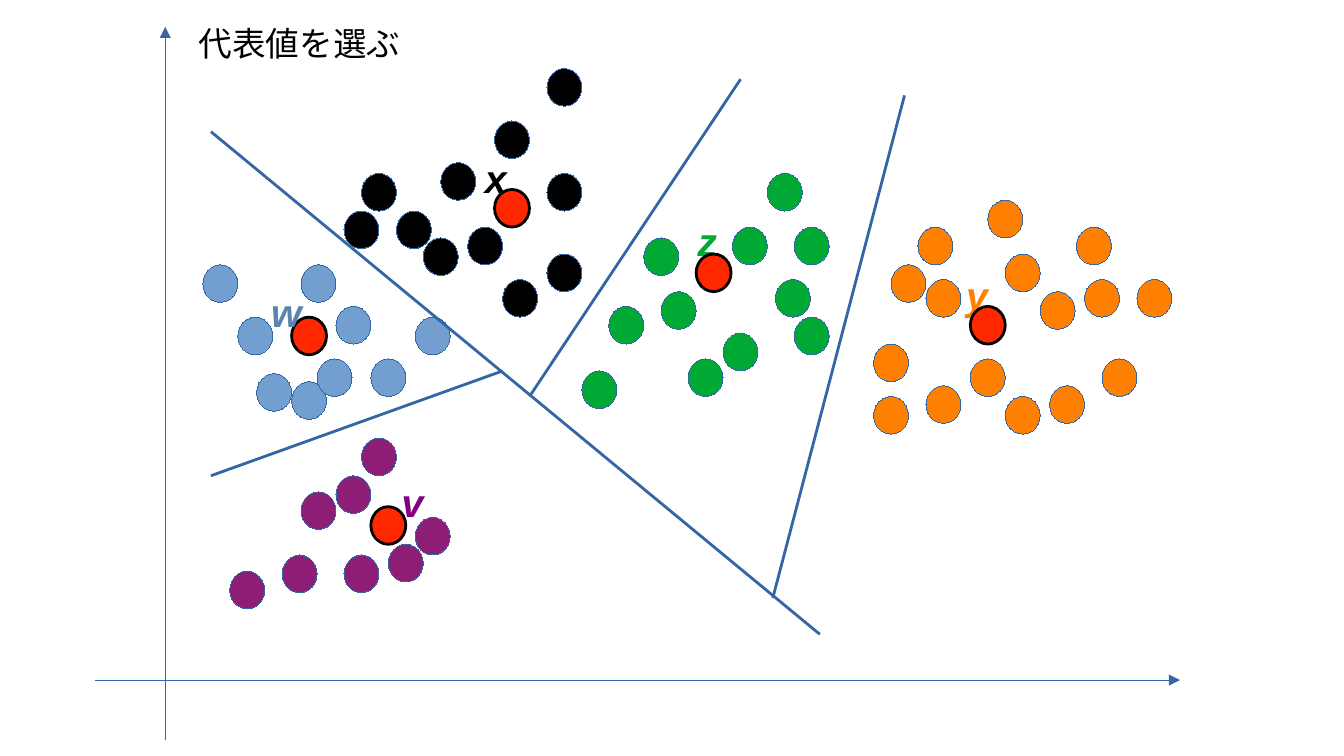
from dataclasses import dataclass

from lxml.etree import SubElement
from pptx import Presentation
from pptx.dml.color import RGBColor
from pptx.enum.shapes import MSO_CONNECTOR, MSO_SHAPE
from pptx.enum.text import MSO_AUTO_SIZE
from pptx.oxml.ns import qn
from pptx.util import Emu, Pt

PX = 9144
SLIDE_WIDTH = 1000
POINT_SIZE = (26, 28)


@dataclass(frozen=True)
class Theme:
    """Colours, type sizes and line widths of the slide."""

    font: str = "Arial"
    title_size: int = 18
    label_size: int = 21
    ink: str = "000000"
    line: str = "3465A4"
    centroid: str = "FF2800"
    hairline: float = 0.01
    stroke: float = 1.5


@dataclass(frozen=True)
class Cluster:
    """One group of points with its representative value."""

    label: str
    label_box: tuple
    label_color: str
    label_in_front: bool
    point_color: str
    centroid: tuple
    points: tuple


THEME = Theme()

AXES = (((123, 551), (123, 20)), ((71, 506), (878, 506)))

BOUNDARIES = (
    ((157, 98), (610, 472)),
    ((157, 354), (374, 276)),
    ((394, 295), (551, 59)),
    ((673, 71), (575, 445)),
)

CLUSTERS = (
    Cluster("x", (351, 110, 44, 42), "000000", False, "000000", (368, 141), (
        (407, 129), (407, 51), (269, 129), (374, 208), (368, 90), (315, 177),
        (256, 157), (328, 121), (407, 189), (295, 157), (348, 169),
    )),
    Cluster("z", (509, 157, 43, 54), "00A933", False, "00A933", (518, 189), (
        (545, 169), (577, 208), (571, 129), (492, 217), (479, 177), (591, 236),
        (591, 169), (453, 228), (538, 248), (433, 276), (512, 267),
    )),
    Cluster("y", (709, 197, 44, 48), "FF8000", False, "FF8000", (722, 228), (
        (801, 169), (807, 208), (748, 189), (689, 208), (650, 256), (683, 169),
        (774, 217), (735, 149), (663, 197), (722, 267), (846, 208), (820, 267),
        (748, 295), (689, 287), (781, 287), (650, 295),
    )),
    Cluster("v", (289, 351, 44, 54), "800080", True, "8D1D75", (276, 377), (
        (250, 354), (269, 326), (224, 366), (289, 405), (256, 413), (171, 425),
        (210, 413), (309, 385),
    )),
    Cluster("w", (192, 210, 44, 54), "5983B0", True, "729FCF", (217, 236), (
        (177, 236), (191, 278), (217, 284), (224, 197), (151, 197), (236, 267),
        (276, 267), (309, 236), (250, 228),
    )),
)


def px(*lengths):
    """Turn px lengths into EMU."""
    return [Emu(length * PX) for length in lengths]


def set_line(line, color, width):
    """Give a line its colour and width."""
    line.color.rgb = RGBColor.from_string(color)
    line.width = Pt(width)


def add_line(slide, start, end, width, arrow=False):
    """Draw a straight line, with an arrowhead at its end if asked."""
    connector = slide.shapes.add_connector(MSO_CONNECTOR.STRAIGHT, *px(*start, *end))
    set_line(connector.line, THEME.line, width)
    properties = connector._element.spPr
    if arrow:
        SubElement(properties.find(qn("a:ln")), qn("a:tailEnd"), type="triangle")
    SubElement(properties, qn("a:effectLst"))


def add_point(slide, position, fill, outline, width):
    """Draw one data point as an ellipse."""
    point = slide.shapes.add_shape(MSO_SHAPE.OVAL, *px(*position, *POINT_SIZE))
    point.shadow.inherit = False
    point.fill.solid()
    point.fill.fore_color.rgb = RGBColor.from_string(fill)
    set_line(point.line, outline, width)


def add_text(slide, box, wording, size, color, emphasis=False):
    """Add a one-line text, bold and italic if emphasised."""
    frame = slide.shapes.add_textbox(*px(*box)).text_frame
    frame.word_wrap = False
    frame.auto_size = MSO_AUTO_SIZE.SHAPE_TO_FIT_TEXT
    run = frame.paragraphs[0].add_run()
    run.text = wording
    run.font.name = THEME.font
    run.font.size = Pt(size)
    run.font.bold = run.font.italic = emphasis
    run.font.color.rgb = RGBColor.from_string(color)


def add_labels(slide, in_front):
    """Add the cluster labels that lie in front of or behind the points."""
    for cluster in CLUSTERS:
        if cluster.label_in_front == in_front:
            add_text(slide, cluster.label_box, cluster.label,
                     THEME.label_size, cluster.label_color, emphasis=True)


def add_cluster(slide, cluster):
    """Draw the points of a cluster and its representative value."""
    for position in cluster.points:
        add_point(slide, position, cluster.point_color, THEME.line, THEME.hairline)
    add_point(slide, cluster.centroid, THEME.centroid, THEME.ink, THEME.stroke)


def main():
    """Build the clustering slide and save it."""
    presentation = Presentation()
    presentation.slide_width = Emu(SLIDE_WIDTH * PX)
    presentation.slide_height = Emu(SLIDE_WIDTH * PX * 9 // 16)
    slide = presentation.slides.add_slide(presentation.slide_layouts[6])
    for start, end in AXES:
        add_line(slide, start, end, THEME.hairline, arrow=True)
    add_labels(slide, in_front=False)
    for cluster in CLUSTERS:
        add_cluster(slide, cluster)
    for start, end in BOUNDARIES:
        add_line(slide, start, end, THEME.stroke)
    add_labels(slide, in_front=True)
    add_text(slide, (138, 12, 170, 46), "代表値を選ぶ", THEME.title_size, THEME.ink)
    presentation.save("out.pptx")


if __name__ == "__main__":
    main()
